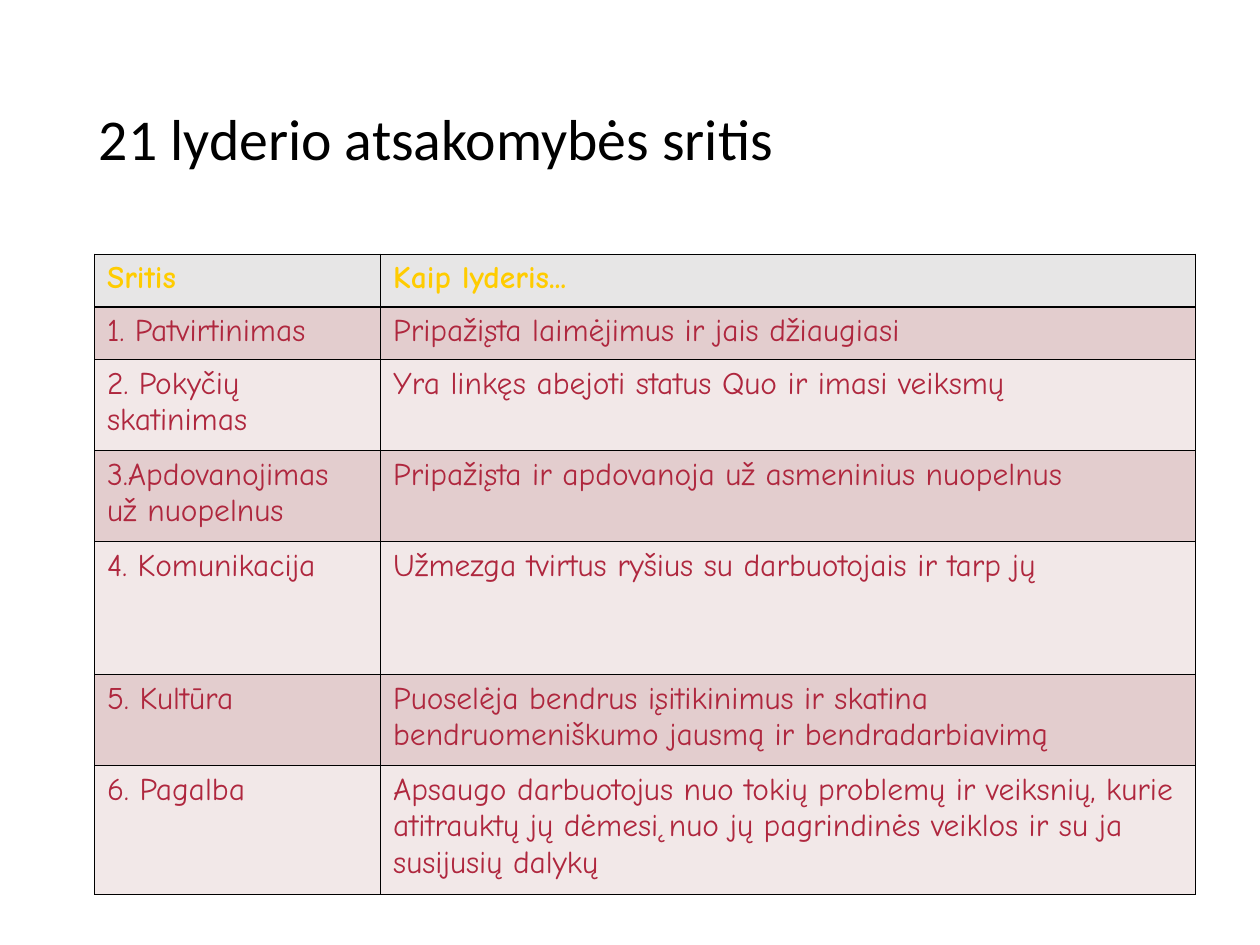
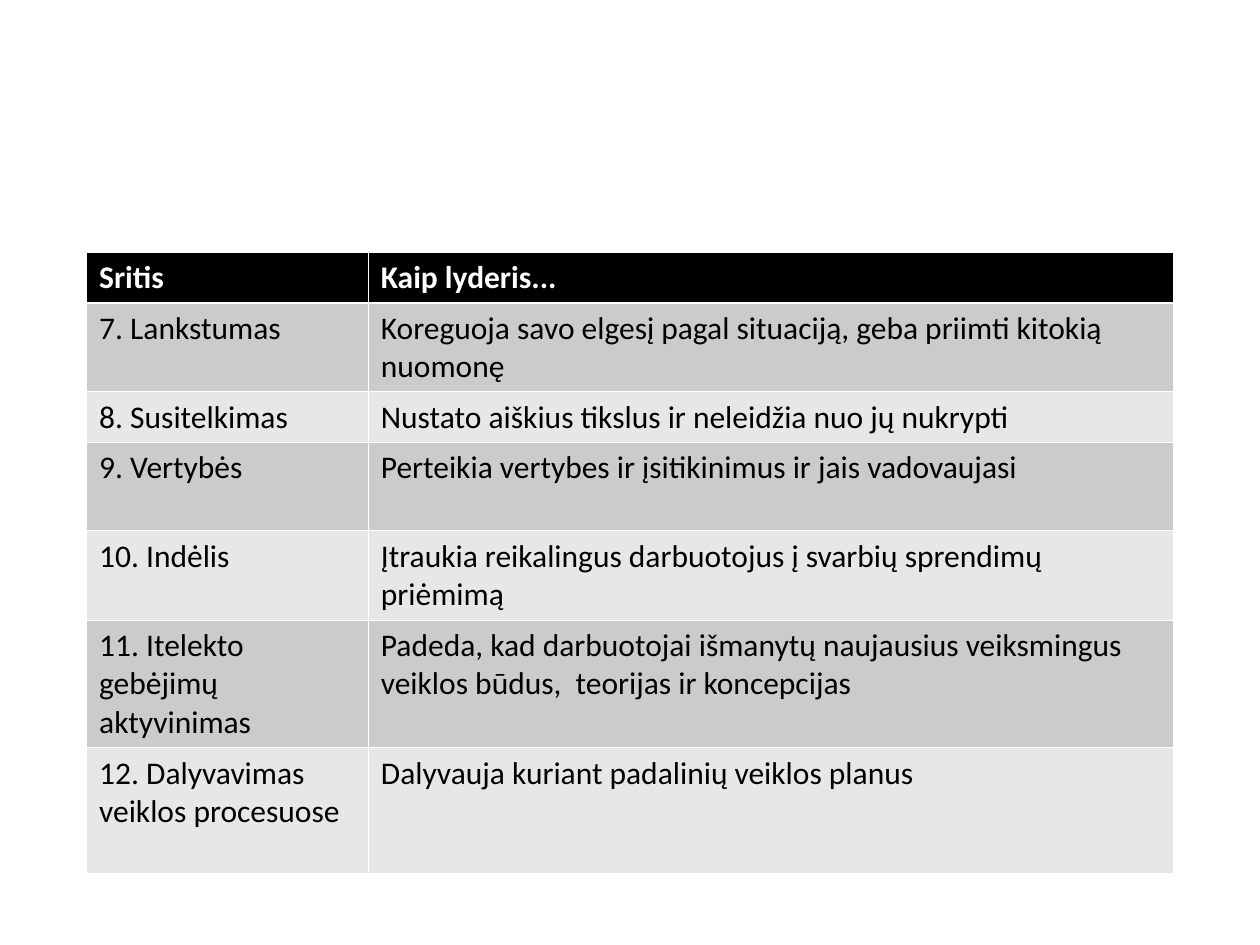
from pptx import Presentation
from pptx.dml.color import RGBColor
from pptx.enum.text import MSO_ANCHOR
from pptx.oxml import parse_xml
from pptx.oxml.ns import nsdecls
from pptx.util import Pt

HAIRLINE, HEADER_RULE = 0.45, 1.47
HEADER = ("Sritis", "Kaip lyderis...")


def set_font(p, **values):
    for name, value in values.items():
        if name == "color":
            p.font.color.rgb = RGBColor.from_string(value)
        else:
            setattr(p.font, name, value)


def set_borders(cell, color, widths):
    """Insert the borders ahead of the fill, as the schema orders them."""
    tc_pr = cell._tc.get_or_add_tcPr()
    for i, (side, width) in enumerate(widths.items()):
        tc_pr.insert(i, parse_xml(
            f'<a:ln{side} {nsdecls("a")} w="{Pt(width)}"><a:solidFill>'
            f'<a:srgbClr val="{color}"/></a:solidFill></a:ln{side}>'))


tables = [
    {
        "title": "21 lyderio atsakomybės sritis",
        "left": 54, "top": 145.2, "columns": (163.5, 465.5),
        "heights": (30.2, 30.2, 52, 52, 76, 52, 73.7),
        "font": "Comic Neue", "border": "000000",
        "header_fill": "E7E6E6", "header_color": "FFCC00",
        "color": "AF273E", "bands": ("E3CDCE", "F2E8E8"),
        "rows": [
            ("1. Patvirtinimas", "Pripažįsta laimėjimus ir jais džiaugiasi"),
            ("2. Pokyčių skatinimas",
             "Yra linkęs abejoti status Quo ir imasi veiksmų"),
            ("3.Apdovanojimas už nuopelnus",
             "Pripažįsta ir apdovanoja už asmeninius nuopelnus"),
            ("4. Komunikacija",
             "Užmezga tvirtus ryšius su darbuotojais ir tarp jų"),
            ("5. Kultūra",
             "Puoselėja bendrus įsitikinimus ir skatina "
             "bendruomeniškumo jausmą ir bendradarbiavimą"),
            ("6. Pagalba",
             "Apsaugo darbuotojus nuo tokių problemų ir veiksnių, kurie "
             "atitrauktų jų dėmesį nuo jų pagrindinės veiklos ir su ja "
             "susijusių dalykų"),
        ],
    },
    {
        "title": None,
        "left": 49.5, "top": 144, "columns": (161, 460),
        "heights": (29.2, 50.7, 29, 50.4, 51, 73, 72),
        "font": "Calibri", "border": "FFFFFF",
        "header_fill": "000000", "header_color": "FFFFFF",
        "color": "000000", "bands": ("CBCBCB", "E7E7E7"),
        "rows": [
            ("7. Lankstumas",
             "Koreguoja savo elgesį pagal situaciją, geba priimti kitokią "
             "nuomonę"),
            ("8. Susitelkimas",
             "Nustato aiškius tikslus ir neleidžia nuo jų nukrypti"),
            ("9. Vertybės",
             "Perteikia vertybes ir įsitikinimus ir jais vadovaujasi"),
            ("10. Indėlis",
             "Įtraukia reikalingus darbuotojus į svarbių sprendimų priėmimą"),
            ("11. Itelekto gebėjimų aktyvinimas",
             "Padeda, kad darbuotojai išmanytų naujausius veiksmingus "
             "veiklos būdus,  teorijas ir koncepcijas"),
            ("12. Dalyvavimas veiklos procesuose",
             "Dalyvauja kuriant padalinių veiklos planus"),
        ],
    },
]

prs = Presentation()
prs.slide_width, prs.slide_height = Pt(720), Pt(540)

for t in tables:
    s = prs.slides.add_slide(prs.slide_layouts[6])

    if t["title"]:
        sp = s.shapes.add_textbox(Pt(49.5), Pt(28.8), Pt(621), Pt(104.4))
        tf = sp.text_frame
        tf.word_wrap = True
        tf.vertical_anchor = MSO_ANCHOR.MIDDLE
        p = tf.paragraphs[0]
        p.text = t["title"]
        p.line_spacing = 0.9
        set_font(p, name="Calibri", size=Pt(33), color="000000")

    rows = [HEADER] + t["rows"]
    table = s.shapes.add_table(
        len(rows), len(HEADER), Pt(t["left"]), Pt(t["top"]),
        Pt(sum(t["columns"])), Pt(sum(t["heights"]))).table
    for column, width in zip(table.columns, t["columns"]):
        column.width = Pt(width)

    for i, (row, texts) in enumerate(zip(table.rows, rows)):
        row.height = Pt(t["heights"][i])
        is_header = i == 0
        fill = t["header_fill"] if is_header else t["bands"][(i - 1) % 2]
        widths = {"L": HAIRLINE, "R": HAIRLINE,
                  "T": HEADER_RULE if i == 1 else HAIRLINE,
                  "B": HEADER_RULE if is_header else HAIRLINE}
        for cell, text in zip(row.cells, texts):
            cell.fill.solid()
            cell.fill.fore_color.rgb = RGBColor.from_string(fill)
            set_borders(cell, t["border"], widths)
            p = cell.text_frame.paragraphs[0]
            p.text = text
            set_font(p, name=t["font"], size=Pt(18), bold=is_header,
                     color=t["header_color"] if is_header else t["color"])
            # Table styles override paragraph defaults, so format the run too
            set_font(p.runs[0], name=t["font"], size=Pt(18), bold=is_header,
                     color=t["header_color"] if is_header else t["color"])

prs.save("out.pptx")
